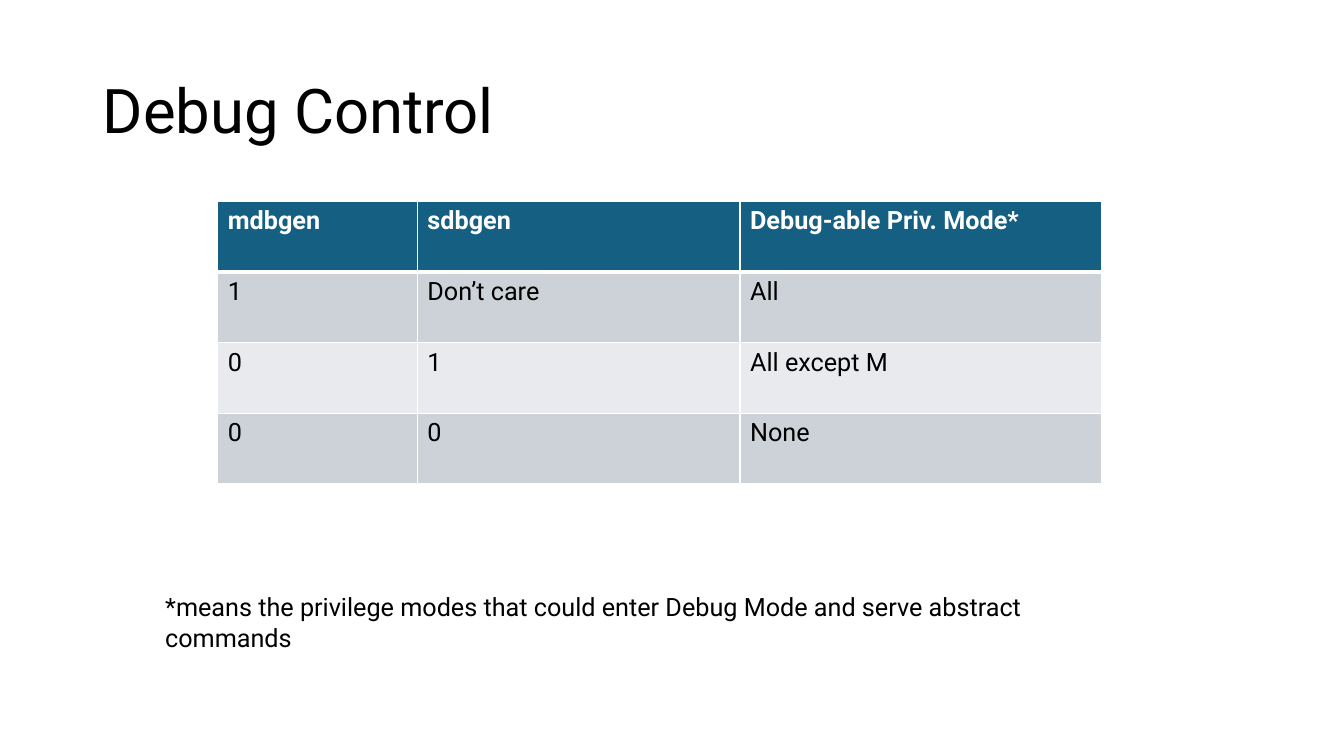
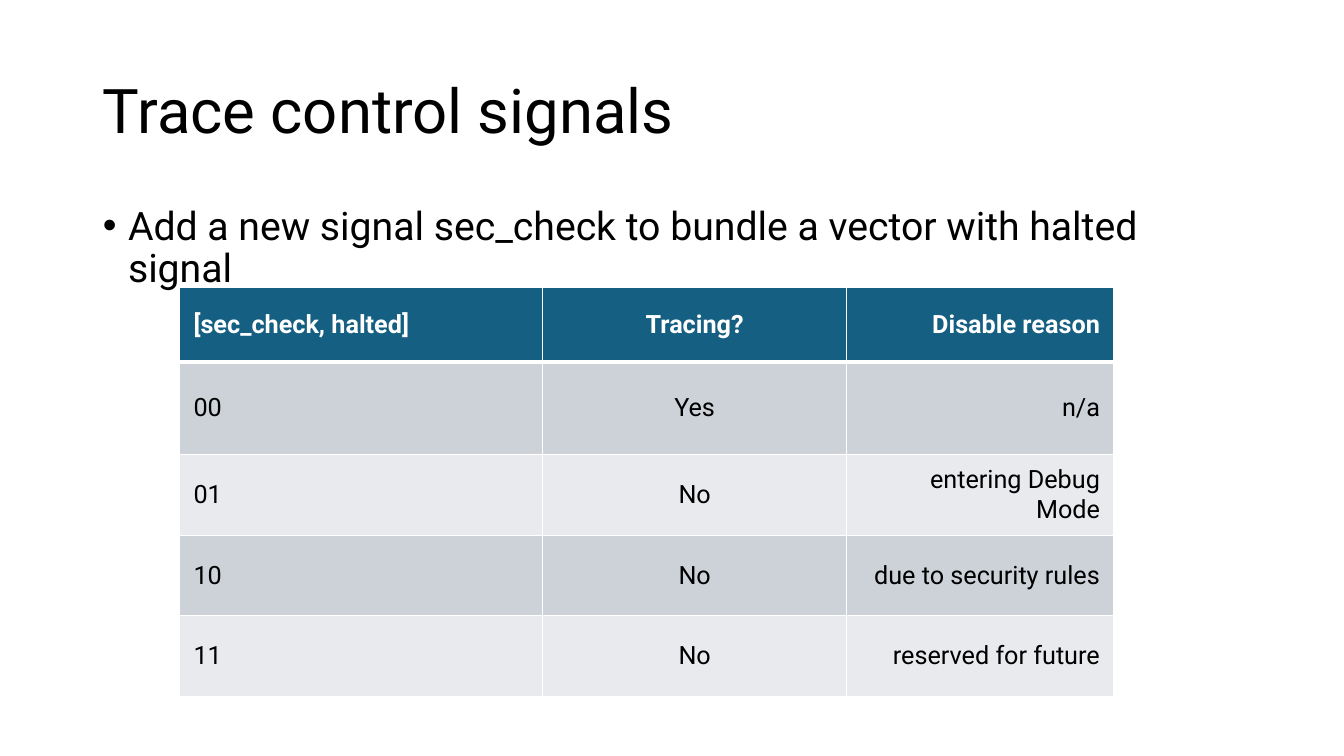
from dataclasses import dataclass

from lxml import etree
from pptx import Presentation
from pptx.dml.color import RGBColor
from pptx.enum.text import MSO_ANCHOR, MSO_AUTO_SIZE, PP_ALIGN
from pptx.oxml.ns import qn
from pptx.util import Inches, Pt

LEFT, CENTER, RIGHT = PP_ALIGN.LEFT, PP_ALIGN.CENTER, PP_ALIGN.RIGHT
TOP, MIDDLE = MSO_ANCHOR.TOP, MSO_ANCHOR.MIDDLE
NO_AUTOFIT = MSO_AUTO_SIZE.NONE
TITLE_AND_CONTENT, TITLE_ONLY = 1, 5


@dataclass(frozen=True)
class Theme:
    font: str = "Roboto"
    text: str = "000000"
    white: str = "FFFFFF"
    header: str = "156082"
    bands: tuple = ("CCD2D8", "E8EAED")
    title_size: int = 44
    body_size: int = 28
    small_size: int = 18
    grid_line: int = 1
    header_line: int = 3


THEME = Theme()
TITLE_BOX = (0.92, 0.4, 11.5, 1.45)
BODY_BOX = (0.92, 2, 11.5, 4.76)
NOTE_BOX = (1.54, 5.82, 9.8, 0.4)

SLIDES = [
    {
        "title": "Debug Control",
        "note": "*means the privilege modes that could enter Debug Mode and serve abstract commands",
        "table": {
            "origin": (2.16, 2),
            "columns": (1.98, 3.2, 3.59),
            "heights": (0.7, 0.7, 0.7, 0.7),
            "alignments": (LEFT, LEFT, LEFT),
            "anchor": TOP,
            "margins": (0.1, 0.05),
            "rows": [
                ("mdbgen", "sdbgen", "Debug-able Priv. Mode*"),
                ("1", "Don’t care", "All"),
                ("0", "1", "All except M"),
                ("0", "0", "None"),
            ],
        },
    },
    {
        "title": "Trace control signals",
        "bullet": "Add a new signal sec_check to bundle a vector with halted signal",
        "table": {
            "origin": (1.78, 2.85),
            "columns": (3.6, 3.02, 2.65),
            "heights": (0.74, 0.92, 0.8, 0.8, 0.8),
            "alignments": (LEFT, CENTER, RIGHT),
            "anchor": MIDDLE,
            "margins": (0.14, 0.06),
            "rows": [
                ("[sec_check, halted]", "Tracing?", "Disable reason"),
                ("00", "Yes", "n/a"),
                ("01", "No", "entering Debug Mode"),
                ("10", "No", "due to security rules"),
                ("11", "No", "reserved for future"),
            ],
        },
    },
]


def write(frame, text, size, color=THEME.text, bold=False, **paragraph_format):
    """Fill a text frame with one formatted paragraph and return it."""
    paragraph = frame.paragraphs[0]
    run = paragraph.add_run()
    run.text = text
    font_format = {"name": THEME.font, "size": Pt(size), "bold": bold}
    for target, values in ((run.font, font_format), (paragraph, paragraph_format)):
        for name, value in values.items():
            setattr(target, name, value)
    run.font.color.rgb = RGBColor.from_string(color)
    return paragraph


def set_borders(cell, widths):
    """Draw white cell borders; widths maps L, R, T and B to points."""
    properties = cell._tc.get_or_add_tcPr()
    for position, (side, width) in enumerate(widths.items()):
        line = etree.Element(qn(f"a:ln{side}"), w=str(Pt(width)))
        fill = etree.SubElement(line, qn("a:solidFill"))
        etree.SubElement(fill, qn("a:srgbClr"), val=THEME.white)
        properties.insert(position, line)


presentation = Presentation()
presentation.slide_width = Inches(13.33)
presentation.slide_height = Inches(7.5)

for content in SLIDES:
    layout = TITLE_AND_CONTENT if "bullet" in content else TITLE_ONLY
    slide = presentation.slides.add_slide(presentation.slide_layouts[layout])

    text_shapes = [(slide.shapes.title, TITLE_BOX, MIDDLE)]
    if "bullet" in content:
        text_shapes.append((slide.placeholders[1], BODY_BOX, TOP))
    for shape, box, anchor in text_shapes:
        shape.left, shape.top, shape.width, shape.height = map(Inches, box)
        shape.text_frame.auto_size = NO_AUTOFIT
        shape.text_frame.vertical_anchor = anchor

    write(slide.shapes.title.text_frame, content["title"], THEME.title_size,
          alignment=LEFT, line_spacing=0.9)
    if "bullet" in content:
        paragraph = write(slide.placeholders[1].text_frame, content["bullet"], THEME.body_size,
                          line_spacing=0.9, space_before=Pt(10))
        properties = paragraph._p.get_or_add_pPr()
        properties.set("marL", str(Inches(0.25)))
        properties.set("indent", str(Inches(-0.25)))

    layout_values = content["table"]
    columns, heights, rows = (layout_values[key] for key in ("columns", "heights", "rows"))
    size = (sum(columns), sum(heights))
    table = slide.shapes.add_table(len(rows), len(columns),
                                   *map(Inches, layout_values["origin"] + size)).table
    for column, width in zip(table.columns, columns):
        column.width = Inches(width)
    for row, height in zip(table.rows, heights):
        row.height = Inches(height)

    side_margin, end_margin = map(Inches, layout_values["margins"])
    cell_format = {
        "margin_left": side_margin, "margin_right": side_margin,
        "margin_top": end_margin, "margin_bottom": end_margin,
        "vertical_anchor": layout_values["anchor"],
    }
    for row_index, texts in enumerate(rows):
        is_header = row_index == 0
        fill_color = THEME.header if is_header else THEME.bands[(row_index - 1) % 2]
        borders = dict.fromkeys("LRTB", THEME.grid_line)
        if row_index < 2:
            borders["B" if is_header else "T"] = THEME.header_line
        for column_index, text in enumerate(texts):
            cell = table.cell(row_index, column_index)
            for name, value in cell_format.items():
                setattr(cell, name, value)
            cell.fill.solid()
            cell.fill.fore_color.rgb = RGBColor.from_string(fill_color)
            set_borders(cell, borders)
            write(cell.text_frame, text, THEME.small_size,
                  color=THEME.white if is_header else THEME.text, bold=is_header,
                  alignment=layout_values["alignments"][column_index])

    if "note" in content:
        note = slide.shapes.add_textbox(*map(Inches, NOTE_BOX))
        note.text_frame.word_wrap = True
        write(note.text_frame, content["note"], THEME.small_size)

presentation.save("out.pptx")
